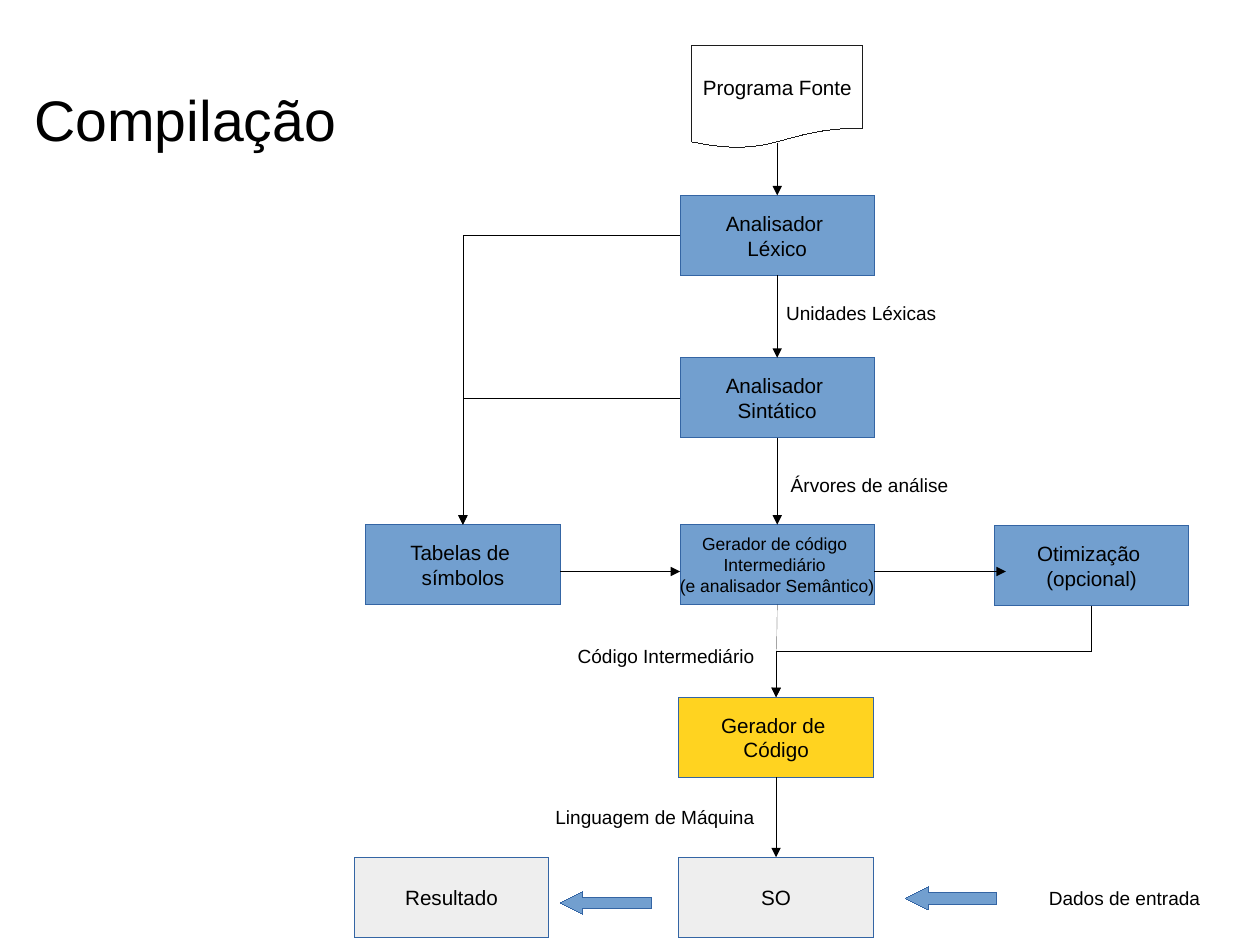
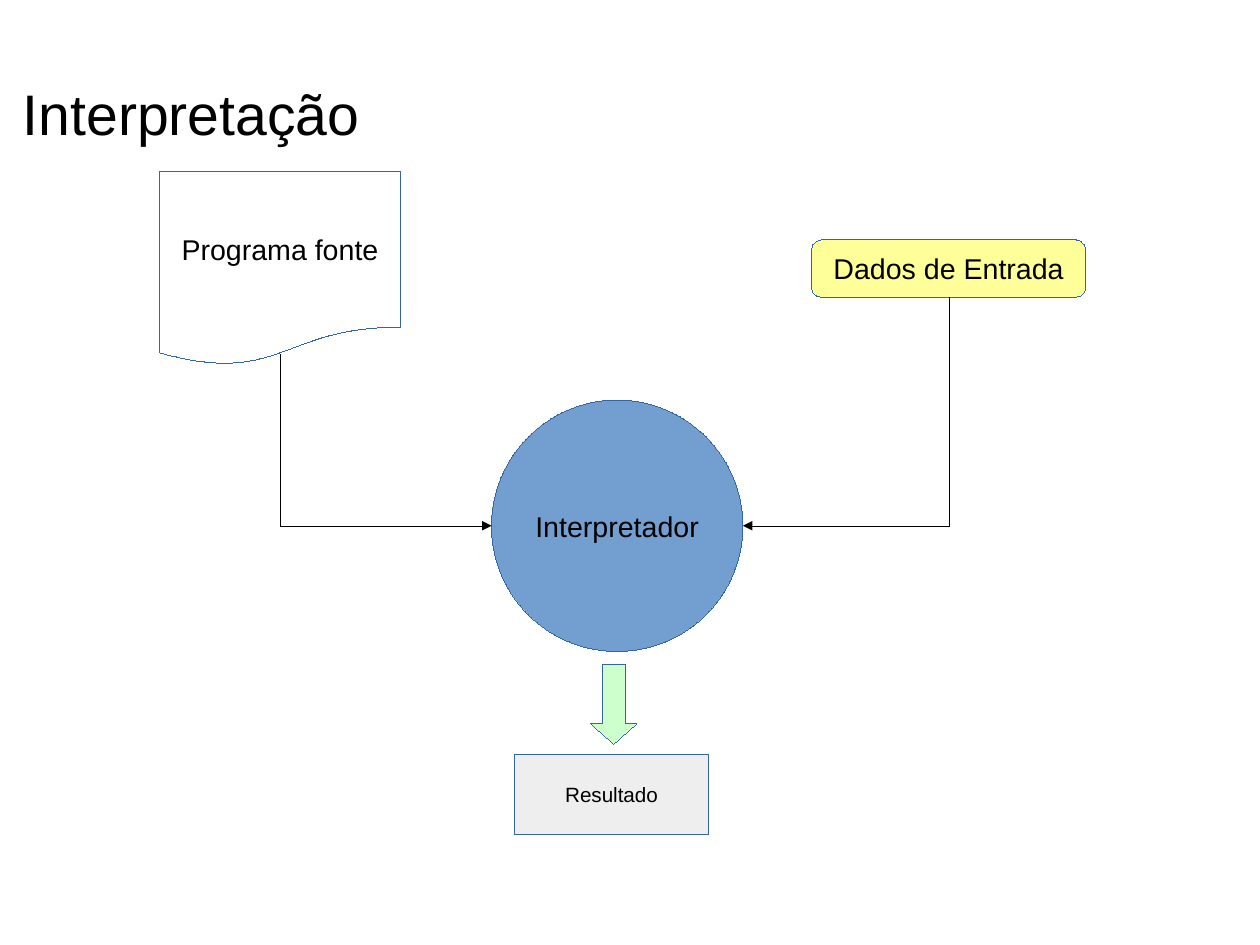
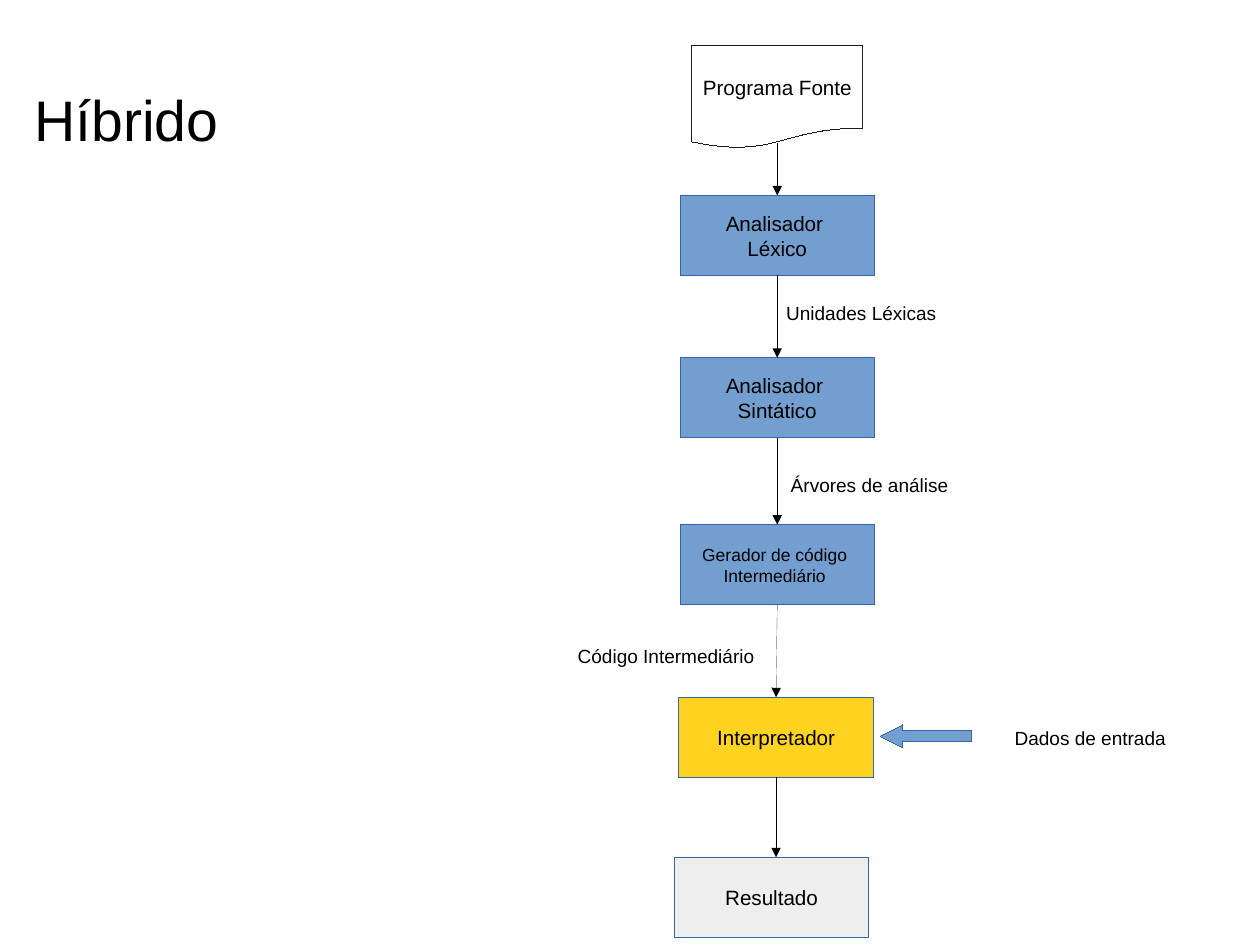
from lxml.etree import SubElement
from pptx import Presentation
from pptx.dml.color import RGBColor as RGB
from pptx.enum.shapes import MSO_CONNECTOR as LINK, MSO_SHAPE as SHAPE
from pptx.enum.text import MSO_ANCHOR as ANCHOR, PP_ALIGN as ALIGN
from pptx.oxml.ns import qn
from pptx.util import Mm, Pt

PX = 9144  # 100 px to the inch
FONT = "Arial"
COLORS = {
    "ink": "000000", "page": "FFFFFF", "dark": "1C1C1C", "edge": "3465A4",
    "blue": "729FCF", "gold": "FFD320", "gray": "EEEEEE",
    "lemon": "FFFF99", "mint": "CCFFCC",
}
BOX_W, BOX_H = 170, 70
AXIS = 680  # centre of the main column
COL = AXIS - BOX_W // 2
LEX, SYN, GEN, OUT, END = 171, 313, 459, 610, 750  # tops of the steps


def color(name):
    return RGB.from_string(COLORS[name])


def hairline(item, name):
    item.line.color.rgb = color(name)
    line = item._element.spPr.find(qn("a:ln"))
    line.set("w", "0")
    return line


def write(frame, text, size, align, anchor):
    frame.vertical_anchor = anchor
    for i, line in enumerate(text.split("\n")):
        para = frame.add_paragraph() if i else frame.paragraphs[0]
        para.alignment = align
        run = para.add_run()
        run.text = line
        run.font.size = Pt(size)
        run.font.name = FONT
        run.font.color.rgb = color("ink")


def label(slide, x, y, w, text, align=ALIGN.LEFT):
    frame = slide.shapes.add_textbox(x * PX, y * PX, w * PX, 29 * PX).text_frame
    frame.word_wrap = True
    write(frame, text, 12, align, ANCHOR.TOP)


def title(slide, x, y, w, h, text):
    frame = slide.shapes.add_textbox(x * PX, y * PX, w * PX, h * PX).text_frame
    frame.word_wrap = True
    frame.margin_left = frame.margin_right = 0
    frame.margin_top = frame.margin_bottom = 0
    write(frame, text, 36, ALIGN.LEFT, ANCHOR.MIDDLE)


def shape(slide, kind, x, y, w, h, fill, text="", size=13, edge="edge"):
    item = slide.shapes.add_shape(kind, x * PX, y * PX, w * PX, h * PX)
    item.shadow.inherit = False
    item.fill.solid()
    item.fill.fore_color.rgb = color(fill)
    hairline(item, edge)
    if text:
        item.text_frame.word_wrap = False
        write(item.text_frame, text, size, ALIGN.CENTER, ANCHOR.MIDDLE)
    return item


def step(slide, x, y, text, fill="blue", size=13):
    shape(slide, SHAPE.FLOWCHART_PROCESS, x, y, BOX_W, BOX_H, fill, text, size)


def block(slide, x, y):
    arrow = shape(slide, SHAPE.LEFT_ARROW, x, y, 80, 20, "blue")
    arrow.adjustments[1] = 1


def link(slide, start, end, kind="line", turns=0):
    """Arrow whose first leg points right, turned clockwise by quarters."""
    (x1, y1), (x2, y2) = start, end
    dx, dy = x2 - x1, y2 - y1
    for _ in range(-turns % 4):
        dx, dy = -dy, dx
    mid_x, mid_y = (x1 + x2) / 2, (y1 + y2) / 2
    ends = (mid_x - dx / 2, mid_y - dy / 2, mid_x + dx / 2, mid_y + dy / 2)
    style = LINK.STRAIGHT if kind == "line" else LINK.ELBOW
    item = slide.shapes.add_connector(style, *(round(v * PX) for v in ends))
    line = hairline(item, "ink")
    SubElement(line, qn("a:tailEnd"), type="triangle")
    props = item._element.spPr
    props.find(qn("a:prstGeom")).set("prst", kind)
    if turns:
        props.find(qn("a:xfrm")).set("rot", str(turns * 5400000))
    SubElement(props, qn("a:effectLst"))


def chain(slide, code, last):
    """Column of steps shared by the compiled and hybrid flows."""
    shape(slide, SHAPE.FLOWCHART_DOCUMENT, 605, 40, 150, 90, "page",
          "Programa Fonte", edge="dark")
    step(slide, COL, LEX, "Analisador \nLéxico")
    step(slide, COL, SYN, "Analisador \nSintático")
    step(slide, COL, GEN, code, size=11)
    step(slide, COL - 1, OUT, last, "gold")
    for top, low in ((125, LEX), (LEX + BOX_H, SYN), (SYN + BOX_H, GEN)):
        link(slide, (AXIS, top), (AXIS, low))
    link(slide, (AXIS, GEN + BOX_H), (AXIS - 1, OUT))
    link(slide, (AXIS - 1, OUT + BOX_H), (AXIS - 1, END))
    label(slide, 678, 259, 250, "Unidades Léxicas")
    label(slide, 682, 409, 250, "Árvores de análise")
    label(slide, 420, 559, 250, "Código Intermediário", ALIGN.RIGHT)


def compiled(slide):
    title(slide, 30, 70, 395, 67, "Compilação")
    chain(slide,
          "Gerador de código \nIntermediário \n(e analisador Semântico)",
          "Gerador de \nCódigo")
    # Symbol table and optional step
    step(slide, 320, GEN, "Tabelas de \nsímbolos")
    step(slide, 870, 460, "Otimização \n(opcional)")
    for top in (SYN, LEX):
        link(slide, (COL, top + 35), (405, GEN), "bentConnector2", 2)
    link(slide, (490, 500), (COL, 500))
    link(slide, (COL + BOX_W, 500), (880, 500))
    link(slide, (955, 530), (AXIS - 1, OUT), "bentConnector3", 1)
    # Run stage
    label(slide, 420, 700, 250, "Linguagem de Máquina", ALIGN.RIGHT)
    step(slide, COL - 1, END, "SO", "gray")
    step(slide, 310, END, "Resultado", "gray")
    block(slide, 792, 776)
    block(slide, 490, 780)
    label(slide, 890, 771, 170, "Dados de entrada", ALIGN.RIGHT)


def direct(slide):
    title(slide, 20, 60, 465, 77, "Interpretação")
    shape(slide, SHAPE.FLOWCHART_DOCUMENT, 140, 150, 210, 170, "page",
          "Programa fonte", 18)
    shape(slide, SHAPE.OVAL, 430, 350, 220, 220, "blue", "Interpretador", 18)
    shape(slide, SHAPE.ROUNDED_RECTANGLE, 710, 210, 240, 50, "lemon",
          "Dados de Entrada", 18)
    link(slide, (830, 260), (650, 460), "bentConnector2", 1)
    link(slide, (245, 310), (430, 460), "bentConnector2", 3)
    arrow = shape(slide, SHAPE.DOWN_ARROW, 517, 581, 40, 70, "mint")
    arrow.adjustments[1] = 0.44
    step(slide, 450, 660, "Resultado", "gray")


def hybrid(slide):
    title(slide, 30, 60, 285, 87, "Híbrido")
    chain(slide, "Gerador de código \nIntermediário ", "Interpretador")
    block(slide, 770, 634)
    label(slide, 860, 631, 170, "Dados de entrada", ALIGN.RIGHT)
    step(slide, 590, END, "Resultado", "gray")


def main():
    deck = Presentation()
    deck.slide_width, deck.slide_height = Mm(280), Mm(210)
    for draw in (compiled, direct, hybrid):
        slide = deck.slides.add_slide(deck.slide_layouts[6])
        slide.background.fill.solid()
        slide.background.fill.fore_color.rgb = color("page")
        draw(slide)
    deck.save("out.pptx")


if __name__ == "__main__":
    main()
